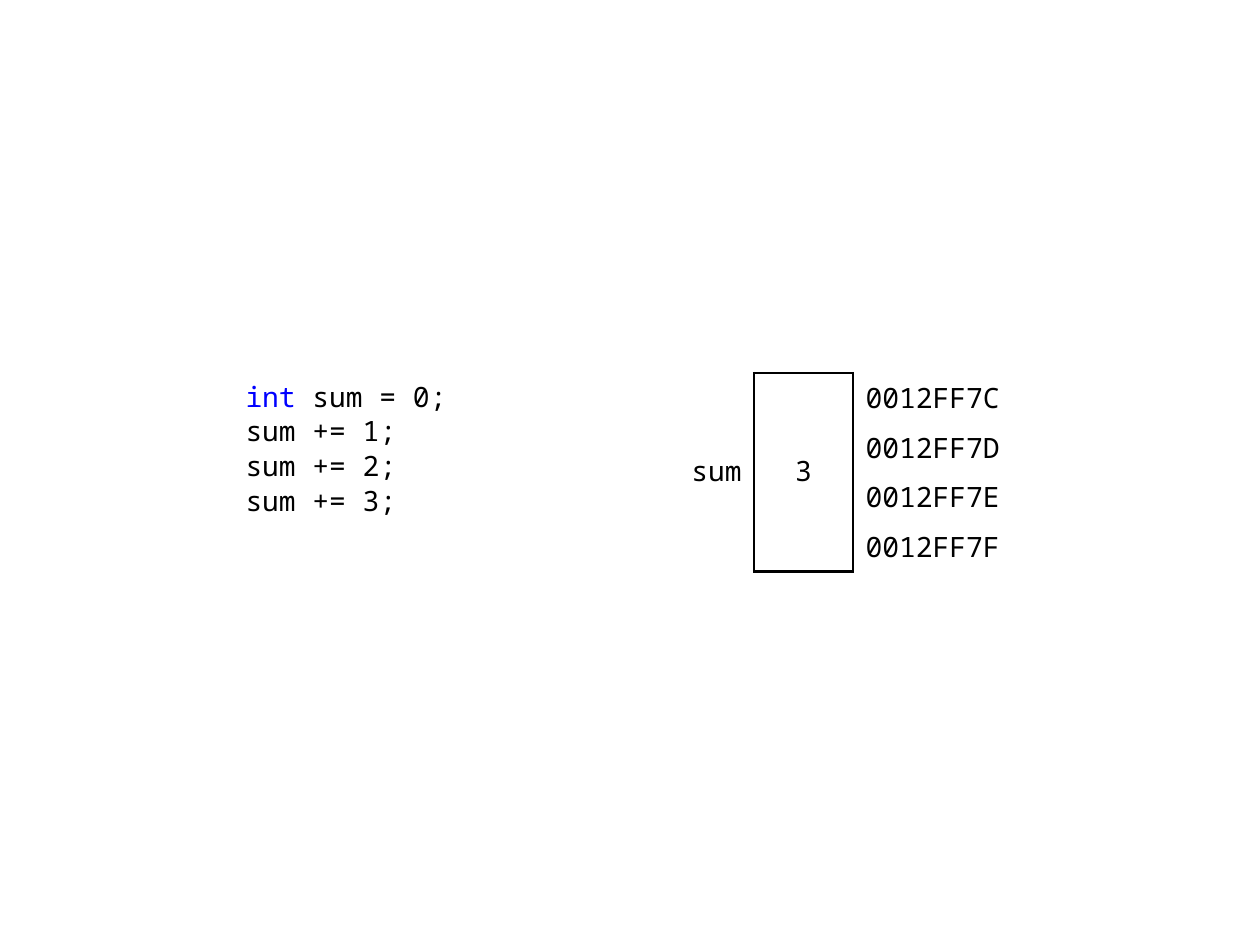
from dataclasses import dataclass

from lxml.etree import SubElement
from pptx import Presentation
from pptx.dml.color import RGBColor
from pptx.enum.text import MSO_ANCHOR, PP_ALIGN
from pptx.oxml.ns import qn
from pptx.table import _Cell
from pptx.text.text import _Paragraph
from pptx.util import Cm, Pt

COLORS = {"text": "000000", "keyword": "0000FF", "border": "000000"}
FONT = "Noto Sans Mono"
ADDRESSES = ["0012FF7C", "0012FF7D", "0012FF7E", "0012FF7F"]
COLUMN_WIDTHS = [2, 2, 3.5]
ROW_HEIGHT = 1


@dataclass
class CodeLine:
    text: str
    keyword: str = ""


@dataclass
class MemoryCell:
    row: int
    column: int
    text: str
    align: PP_ALIGN = PP_ALIGN.LEFT
    margin_top: float = 0.1
    margin_bottom: float = 0.1


CODE = [
    CodeLine(" sum = 0;", keyword="int"),
    CodeLine("sum += 1;"),
    CodeLine("sum += 2;"),
    CodeLine("sum += 3;"),
]
MEMORY = [
    MemoryCell(0, 0, "sum", PP_ALIGN.RIGHT, 0, 0.05),
    MemoryCell(0, 1, "3", PP_ALIGN.CENTER, 0, 0.05),
] + [MemoryCell(row, 2, address) for row, address in enumerate(ADDRESSES)]
BORDERED_SIDES = {0: "R", 1: "LRTB", 2: "L"}


def add_text(paragraph: _Paragraph, text: str, *, color: str = "text",
             size: float = 16, align: PP_ALIGN = PP_ALIGN.LEFT) -> None:
    paragraph.alignment = align
    run = paragraph.add_run()
    run.text = text
    run.font.name = FONT
    run.font.size = Pt(size)
    run.font.color.rgb = RGBColor.from_string(COLORS[color])


def set_borders(cell: _Cell, sides: str) -> None:
    properties = cell._tc.get_or_add_tcPr()
    for side in "LRTB":
        line = SubElement(properties, qn(f"a:ln{side}"), w=str(Pt(1.5)))
        if side in sides:
            fill = SubElement(line, qn("a:solidFill"))
            SubElement(fill, qn("a:srgbClr"), val=COLORS["border"])
        else:
            SubElement(line, qn("a:noFill"))


def add_code(slide, lines: list[CodeLine]) -> None:
    shape = slide.shapes.add_textbox(Cm(4.7), Cm(7.52), Cm(5), Cm(3.5))
    frame = shape.text_frame
    frame.word_wrap = True
    for index, line in enumerate(lines):
        paragraph = frame.add_paragraph() if index else frame.paragraphs[0]
        if index:
            paragraph.space_before = Pt(0.6)
        if line.keyword:
            add_text(paragraph, line.keyword, color="keyword")
        add_text(paragraph, line.text)


def add_memory_table(slide, contents: list[MemoryCell]) -> None:
    row_count = len(ADDRESSES)
    shape = slide.shapes.add_table(
        row_count, len(COLUMN_WIDTHS), Cm(13.2), Cm(7.52),
        Cm(sum(COLUMN_WIDTHS)), Cm(row_count * ROW_HEIGHT))
    table = shape.table
    table.first_row = False
    table.horz_banding = False
    for column, width in zip(table.columns, COLUMN_WIDTHS):
        column.width = Cm(width)
    for row in range(row_count):
        table.rows[row].height = Cm(ROW_HEIGHT)
        for column, sides in BORDERED_SIDES.items():
            cell = table.cell(row, column)
            set_borders(cell, sides)
            cell.fill.background()
    for column in (0, 1):
        table.cell(0, column).merge(table.cell(row_count - 1, column))
    for content in contents:
        cell = table.cell(content.row, content.column)
        cell.vertical_anchor = MSO_ANCHOR.MIDDLE
        cell.margin_left = cell.margin_right = Cm(0.25)
        cell.margin_top = Cm(content.margin_top)
        cell.margin_bottom = Cm(content.margin_bottom)
        add_text(cell.text_frame.paragraphs[0], content.text, align=content.align)


def main() -> None:
    presentation = Presentation()
    presentation.slide_width = Cm(25.4)
    presentation.slide_height = Cm(19.05)
    slide = presentation.slides.add_slide(presentation.slide_layouts[6])
    add_code(slide, CODE)
    add_memory_table(slide, MEMORY)
    presentation.save("out.pptx")


if __name__ == "__main__":
    main()
